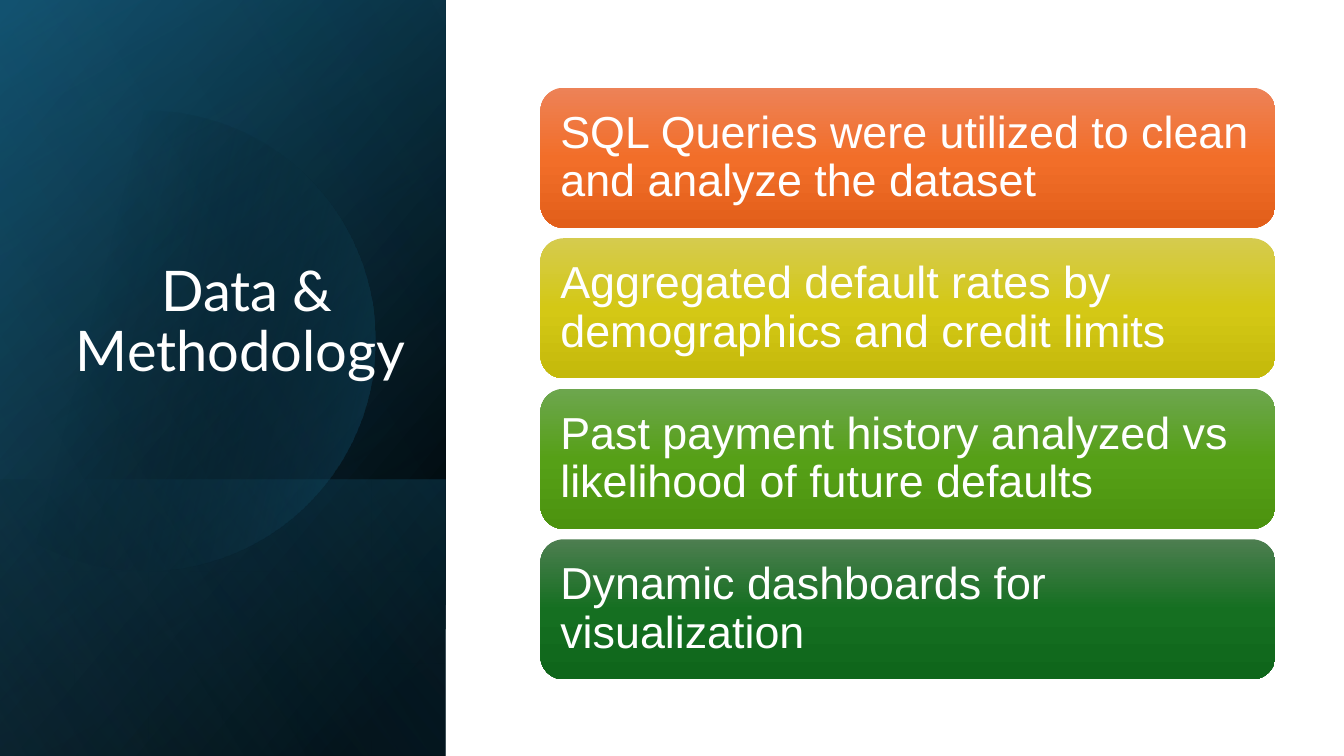
import math

from lxml import etree
from pptx import Presentation
from pptx.dml.color import RGBColor
from pptx.enum.shapes import MSO_SHAPE
from pptx.enum.text import MSO_ANCHOR, PP_ALIGN
from pptx.oxml.ns import qn
from pptx.util import Inches, Pt

RECT, ROUNDED = MSO_SHAPE.RECTANGLE, MSO_SHAPE.ROUNDED_RECTANGLE
MIDDLE = MSO_ANCHOR.MIDDLE
LEFT, CENTER = PP_ALIGN.LEFT, PP_ALIGN.CENTER

WHITE = RGBColor(0xFF, 0xFF, 0xFF)
BLACK = RGBColor(0x00, 0x00, 0x00)
DEEP_BLUE = RGBColor(0x10, 0x48, 0x62)
TEAL = RGBColor(0x15, 0x60, 0x82)
SKY = RGBColor(0x46, 0xB1, 0xE1)

# Content
TITLE = "Data & Methodology "
CARDS = [  # text, then top, middle and bottom colour
    ("SQL Queries were utilized to clean and analyze the dataset",
     RGBColor(0xED, 0x82, 0x57), RGBColor(0xF2, 0x6E, 0x29), RGBColor(0xE2, 0x5F, 0x1A)),
    ("Aggregated default rates by demographics and credit limits",
     RGBColor(0xD5, 0xCB, 0x4E), RGBColor(0xD4, 0xC8, 0x15), RGBColor(0xC4, 0xB9, 0x0B)),
    ("Past payment history analyzed vs likelihood of future defaults",
     RGBColor(0x6D, 0xA6, 0x4E), RGBColor(0x56, 0xA0, 0x17), RGBColor(0x4C, 0x93, 0x0F)),
    ("Dynamic dashboards for visualization",
     RGBColor(0x4D, 0x7E, 0x50), RGBColor(0x15, 0x6F, 0x21), RGBColor(0x0F, 0x66, 0x1B)),
]

# Layout, in inches
SLIDE_W, SLIDE_H = 13.33, 7.5
PANEL_W = 4.42
LOWER_TOP = 4.76
DISC_X, DISC_Y, DISC_R = 1.44, 3.38, 2.28
TITLE_BOX = (0.64, 1.84, 3.62, 2.74)
CARD_LEFT, CARD_W, CARD_H = 5.36, 7.29, 1.39
CARDS_TOP, CARDS_BOTTOM = 0.87, 6.74

# Panel layers: top, angle, stops of (position %, colour, opacity %)
LAYERS_BELOW_DISC = [
    (0, 220, [(8, BLACK, 100), (100, DEEP_BLUE, 100)]),
    (0, 240, [(0, BLACK, 0), (99, TEAL, 46)]),
    (LOWER_TOP, 140, [(2, TEAL, 29), (100, BLACK, 30)]),
]
DISC_ANGLE, DISC_STOPS = 14, [(29, BLACK, 0), (100, TEAL, 43)]
LAYER_ABOVE_DISC = (0, 150, [(0, BLACK, 0), (99, SKY, 11)])


def paint(shape, angle, stops):
    """Fill with a linear gradient; no outline, no shadow."""
    shape.shadow.inherit = False
    shape.line.fill.background()
    gradient = etree.Element(qn("a:gradFill"), rotWithShape="1")
    stop_list = etree.SubElement(gradient, qn("a:gsLst"))
    for position, color, opacity in stops:
        stop = etree.SubElement(stop_list, qn("a:gs"), pos=str(position * 1000))
        rgb = etree.SubElement(stop, qn("a:srgbClr"), val=str(color))
        if opacity < 100:
            etree.SubElement(rgb, qn("a:alpha"), val=str(opacity * 1000))
    etree.SubElement(gradient, qn("a:lin"), ang=str(angle * 60000), scaled="0")
    shape._element.spPr.insert(2, gradient)  # right after position and geometry


def write(shape, text, font_name, size, alignment, margin_x, margin_y):
    frame = shape.text_frame
    frame.text = text
    frame_format = {
        "word_wrap": True, "vertical_anchor": MIDDLE,
        "margin_left": Inches(margin_x), "margin_right": Inches(margin_x),
        "margin_top": Inches(margin_y), "margin_bottom": Inches(margin_y),
    }
    for name, value in frame_format.items():
        setattr(frame, name, value)
    paragraph = frame.paragraphs[0]
    paragraph.alignment, paragraph.line_spacing = alignment, 0.9
    font = paragraph.runs[0].font
    for name, value in {"name": font_name, "size": Pt(size)}.items():
        setattr(font, name, value)
    font.color.rgb = WHITE


def add_layer(shapes, top, angle, stops):
    layer = shapes.add_shape(RECT, 0, Inches(top), Inches(PANEL_W), Inches(SLIDE_H - top))
    paint(layer, angle, stops)


def add_disc(shapes):
    """Circle cut off by the left edge of the slide."""
    reach = math.acos(-DISC_X / DISC_R)
    steps = 120
    angles = [reach * (2 * i / steps - 1) for i in range(steps + 1)]
    points = [(Inches(DISC_X + DISC_R * math.cos(a)), Inches(DISC_Y + DISC_R * math.sin(a)))
              for a in angles]
    outline = shapes.build_freeform(*points[0])
    outline.add_line_segments(points[1:], close=True)
    paint(outline.convert_to_shape(), DISC_ANGLE, DISC_STOPS)


def main():
    deck = Presentation()
    deck.slide_width, deck.slide_height = Inches(SLIDE_W), Inches(SLIDE_H)
    slide = deck.slides.add_slide(deck.slide_layouts[5])
    shapes = slide.shapes

    # Dark panel on the left
    for layer in LAYERS_BELOW_DISC:
        add_layer(shapes, *layer)
    add_disc(shapes)
    add_layer(shapes, *LAYER_ABOVE_DISC)

    # Title, raised above the panel
    title = shapes.title
    title.left, title.top, title.width, title.height = map(Inches, TITLE_BOX)
    write(title, TITLE, "Lato", 40, CENTER, 0.1, 0.05)
    shapes._spTree.append(title._element)

    # Cards, evenly spread from top to bottom
    pitch = (CARDS_BOTTOM - CARDS_TOP - CARD_H) / (len(CARDS) - 1)
    for row, (text, *colors) in enumerate(CARDS):
        card = shapes.add_shape(ROUNDED, Inches(CARD_LEFT), Inches(CARDS_TOP + row * pitch),
                                Inches(CARD_W), Inches(CARD_H))
        paint(card, 90, [(50 * i, color, 100) for i, color in enumerate(colors)])
        write(card, text, "Arial", 32, LEFT, 0.13, 0.13)

    deck.save("out.pptx")


if __name__ == "__main__":
    main()
